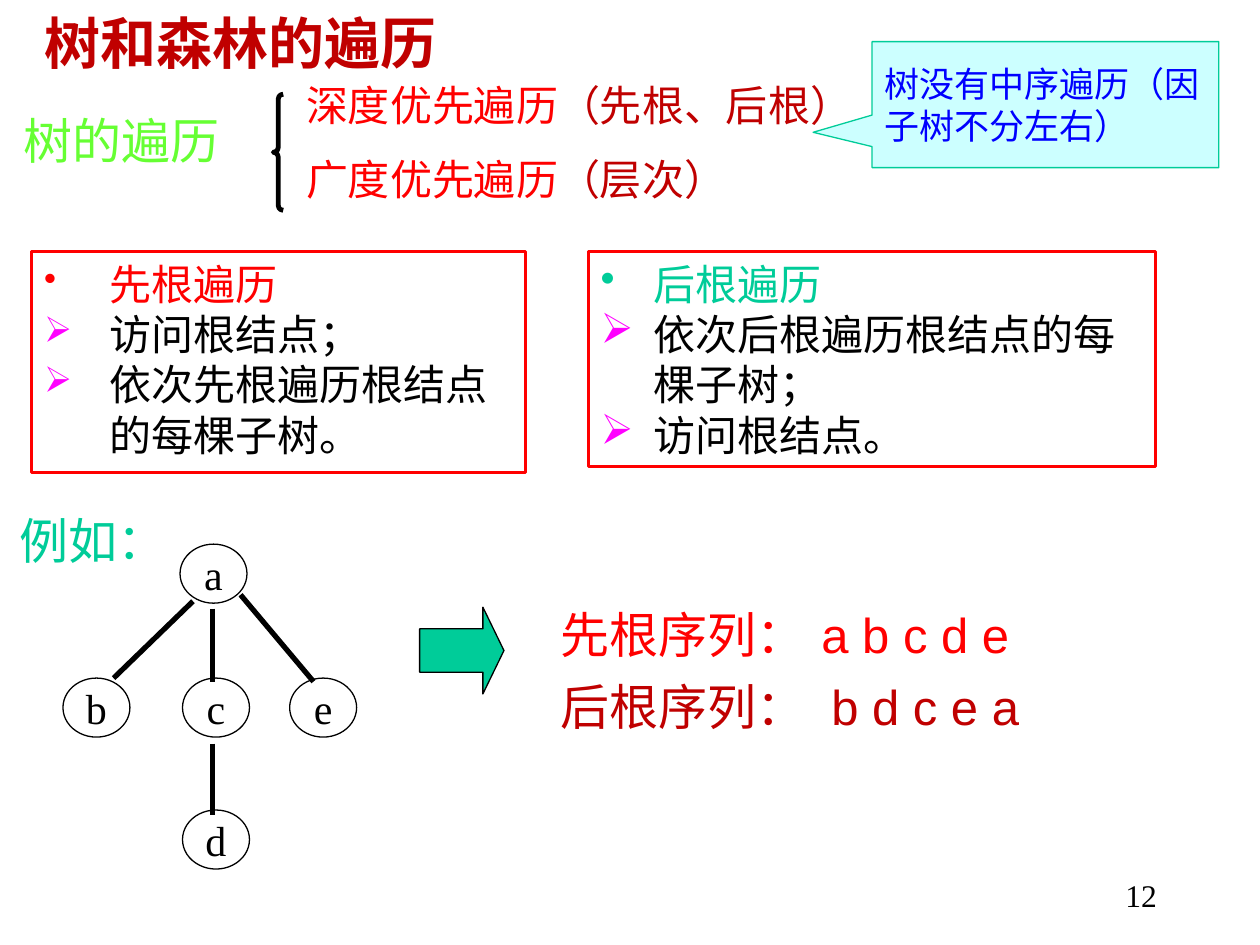
from lxml import etree
from pptx import Presentation
from pptx.dml.color import RGBColor
from pptx.enum.shapes import MSO_CONNECTOR, MSO_SHAPE
from pptx.enum.text import MSO_ANCHOR, PP_ALIGN
from pptx.oxml.ns import qn
from pptx.util import Cm, Pt

LEFT, MID, RIGHT = PP_ALIGN.LEFT, PP_ALIGN.CENTER, PP_ALIGN.RIGHT
TOP, MIDDLE = MSO_ANCHOR.TOP, MSO_ANCHOR.MIDDLE
OVAL, RECT, ARROW = MSO_SHAPE.OVAL, MSO_SHAPE.RECTANGLE, MSO_SHAPE.RIGHT_ARROW
BRACE, CALLOUT = MSO_SHAPE.LEFT_BRACE, MSO_SHAPE.RECTANGULAR_CALLOUT
STRAIGHT = MSO_CONNECTOR.STRAIGHT


class Theme:
    red, dark, green, lime = "FF0000", "C00000", "00CC99", "66FF33"
    pink, blue, pale, black = "FF00FF", "0000FF", "CCFFFF", "000000"
    serif, sans, cjk = "Times New Roman", "Arial", "Noto Sans CJK SC"
    title, head, body, note, page = 32, 28, 24, 20, 18


def write(frame, lines, size, face, align=LEFT, bullet=None):
    """Each line is a list of (text, colour); bullet is (indent, percent)."""
    for i, runs in enumerate(lines):
        para = frame.paragraphs[0] if i == 0 else frame.add_paragraph()
        para.alignment = align
        props = para._p.get_or_add_pPr()
        if bullet:
            indent, scale = bullet
            props.set("marL", str(Cm(indent)))
            props.set("indent", str(-Cm(indent)))
            tint = etree.SubElement(props, qn("a:buClr"))
            hue = runs[0][1] if i == 0 else Theme.pink
            etree.SubElement(tint, qn("a:srgbClr"), val=hue)
            etree.SubElement(props, qn("a:buSzPct"), val=str(scale * 1000))
            etree.SubElement(props, qn("a:buChar"), char="➢" if i else "•")
        para.font.size = Pt(size)
        para.font.color.rgb = RGBColor.from_string(runs[0][1])
        para.font.name = face
        etree.SubElement(props.find(qn("a:defRPr")), qn("a:ea"), typeface=Theme.cjk)
        for text, color in runs:
            run = para.add_run()
            run.text = text
            if color != runs[0][1]:
                run.font.color.rgb = RGBColor.from_string(color)


def draw(home, kind, box, line, width=0.75, fill=None):
    shape = home.add_shape(kind, *map(Cm, box))
    shape.shadow.inherit = False
    shape.line.color.rgb = RGBColor.from_string(line)
    shape.line.width = Pt(width)
    if fill:
        shape.fill.solid()
        shape.fill.fore_color.rgb = RGBColor.from_string(fill)
    else:
        shape.fill.background()
    return shape


deck = Presentation()
deck.slide_width, deck.slide_height = Cm(25.4), Cm(19.05)
slide = deck.slides.add_slide(deck.slide_layouts[5])
shapes = slide.shapes

# Title
title = shapes.title
title.left, title.top, title.width, title.height = map(Cm, (0.64, 0, 13.77, 1.7))
title.text_frame.vertical_anchor = MIDDLE
write(title.text_frame, [[("树和森林的遍历", Theme.dark)]], Theme.title, Theme.serif)
title.text_frame.paragraphs[0].font.bold = True

# Labels, traversal kinds, sequences and page number
labels = [
    ((0.23, 2.11, 4.45, 1.45), [("树的遍历", Theme.lime)], Theme.head, Theme.cjk, LEFT),
    ((0.15, 10.16, 3.45, 1.45), [("例如：", Theme.green)], Theme.head, Theme.cjk, LEFT),
    ((5.92, 1.47, 12.07, 1.27),
     [("深度优先遍历", Theme.red), ("（先根、后根）", Theme.dark)],
     Theme.body, Theme.serif, LEFT),
    ((5.92, 2.97, 9.53, 1.27),
     [("广度优先遍历", Theme.red), ("（层次）", Theme.dark)],
     Theme.body, Theme.serif, LEFT),
    ((11.05, 12.06, 5.44, 1.45), [("先根序列：", Theme.red)], Theme.head, Theme.sans, LEFT),
    ((11.05, 13.51, 5.44, 1.45), [("后根序列：", Theme.dark)], Theme.head, Theme.sans, LEFT),
    ((16.31, 12.06, 5.28, 1.45), [("a b c d e", Theme.red)], Theme.head, Theme.sans, LEFT),
    ((16.51, 13.51, 5.28, 1.45), [("b d c e a", Theme.dark)], Theme.head, Theme.sans, LEFT),
    ((18.29, 17.53, 5.28, 1.27), [("12", Theme.black)], Theme.page, Theme.serif, RIGHT),
]
for box, runs, size, face, align in labels:
    frame = shapes.add_textbox(*map(Cm, box)).text_frame
    frame.word_wrap = True
    write(frame, [runs], size, face, align)

# Brace before the traversal kinds
brace = draw(shapes, BRACE, (5.51, 1.9, 0.2, 2.34), Theme.black, 2.75)
brace.adjustments[0] = 0.5

# Example tree
tree = shapes.add_group_shape().shapes
nodes = {"a": (3.63, 10.97), "b": (1.27, 13.67), "c": (3.68, 13.67),
         "e": (5.84, 13.67), "d": (3.68, 16.33)}
for name, (x, y) in nodes.items():
    node = draw(tree, OVAL, (x, y, 1.35, 1.19), Theme.black)
    node.text_frame.word_wrap = False
    node.text_frame.vertical_anchor = MIDDLE
    write(node.text_frame, [[(name, Theme.black)]], Theme.body, Theme.serif, MID)
edges = [(3.89, 12.12, 2.29, 13.67), (4.85, 11.99, 6.32, 13.74),
         (4.29, 12.27, 4.29, 13.74), (4.29, 14.99, 4.29, 16.43)]
for ends in edges:
    edge = tree.add_connector(STRAIGHT, *map(Cm, ends))
    edge.line.color.rgb = RGBColor.from_string(Theme.black)
    edge.line.width = Pt(3)
    etree.SubElement(edge._element.spPr, qn("a:effectLst"))

# Arrow to the sequences
arrow = draw(shapes, ARROW, (8.46, 12.24, 1.7, 1.75), Theme.black, fill=Theme.green)
arrow.adjustments[0], arrow.adjustments[1] = 0.5, 0.25

# Definitions
cards = [
    ((0.64, 5.08, 9.96, 4.45), Theme.red, Theme.sans, (1.32, 85),
     ["先根遍历", "访问根结点；", "依次先根遍历根结点的每棵子树。"]),
    ((11.86, 5.08, 11.43, 4.32), Theme.green, Theme.serif, (1.07, 100),
     ["后根遍历", "依次后根遍历根结点的每棵子树；", "访问根结点。"]),
]
for box, color, face, bullet, (head, *steps) in cards:
    frame = draw(shapes, RECT, box, Theme.red, 1.75).text_frame
    frame.vertical_anchor = TOP
    frame.word_wrap = True
    lines = [[(head, color)]] + [[(step, Theme.black)] for step in steps]
    write(frame, lines, Theme.body, face, bullet=bullet)

# Callout
note = draw(shapes, CALLOUT, (17.58, 0.84, 6.99, 2.54), Theme.green, fill=Theme.pale)
note.adjustments[0], note.adjustments[1] = -0.67, 0.22
note.text_frame.word_wrap = True
note.text_frame.vertical_anchor = MIDDLE
write(note.text_frame, [[("树没有中序遍历（因子树不分左右）", Theme.blue)]],
      Theme.note, Theme.serif)

deck.save("out.pptx")
